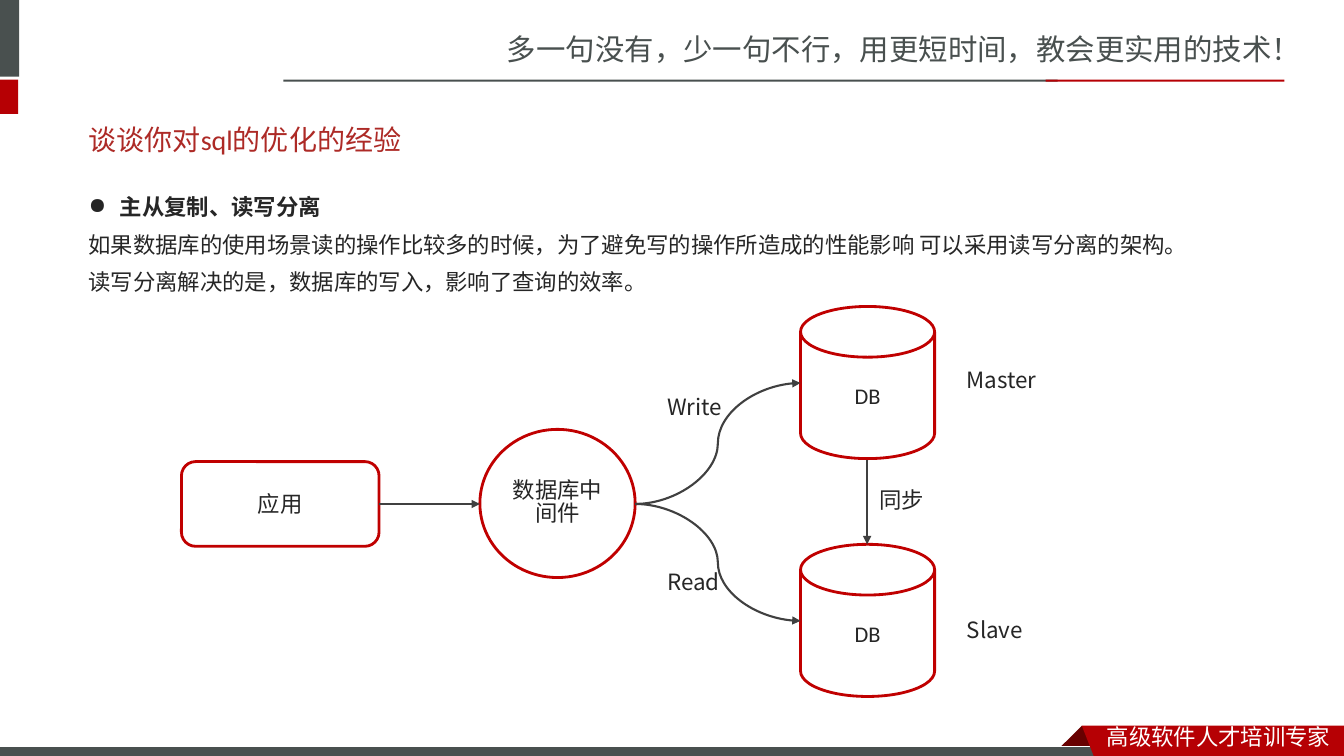
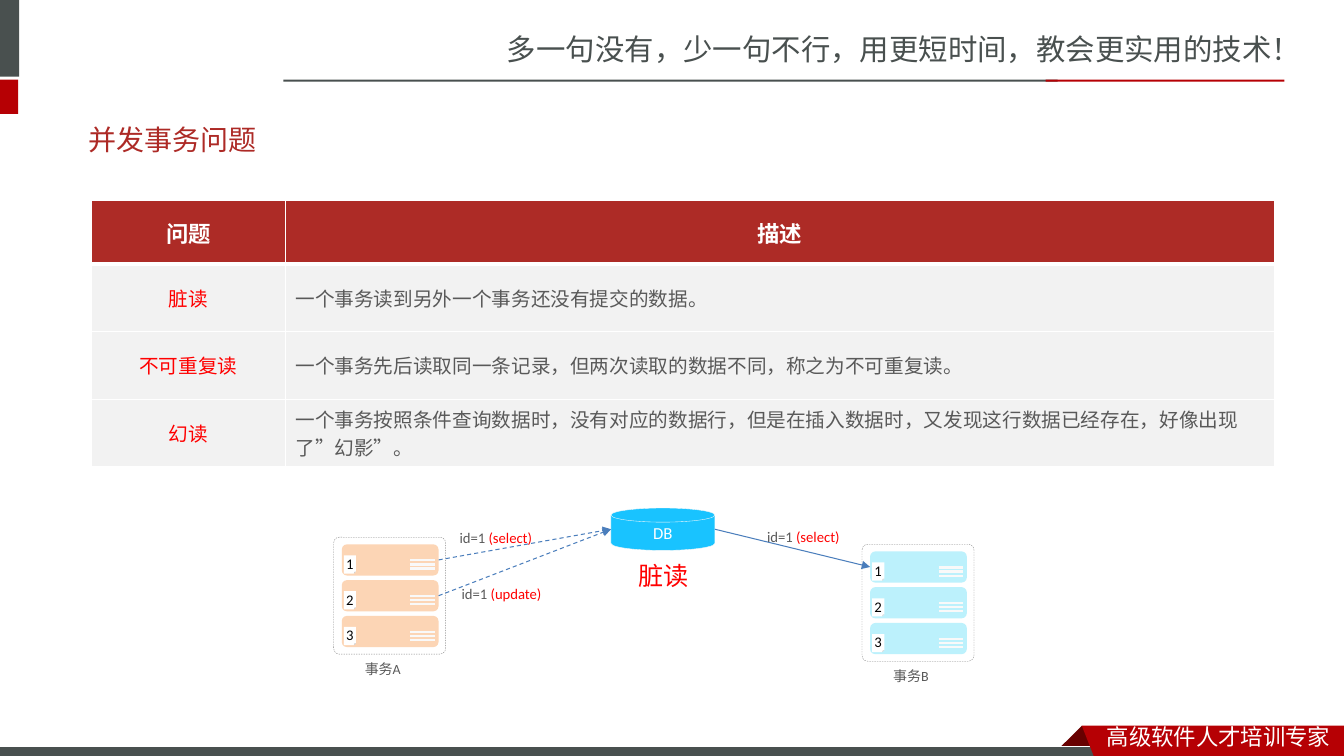
from lxml import etree
from pptx import Presentation
from pptx.dml.color import RGBColor
from pptx.enum.dml import MSO_LINE
from pptx.enum.shapes import MSO_CONNECTOR as LINK, MSO_SHAPE as SHAPE
from pptx.enum.text import MSO_ANCHOR as ANCHOR, MSO_AUTO_SIZE as AUTOSIZE, PP_ALIGN as ALIGN
from pptx.oxml.ns import qn
from pptx.util import Inches, Pt

SANS, SANS_JP, CALIBRI, ROBOTO = "Noto Sans CJK SC", "Noto Sans CJK JP", "Calibri", "Roboto"
SLATE, BRAND, FOLD, TITLE = "49504F", "B60004", "680000", "AD2A26"
INK, GREY, RED, WHITE = "262626", "595959", "FF0000", "FFFFFF"
OUTLINE, ARROW, BLUE, PALE = "C00000", "404040", "4B7EBC", "F9F9F9"

SLOGAN = "多一句没有，少一句不行，用更短时间，教会更实用的技术！"
FOOTER = "高级软件人才培训专家"
BANDS = [
    (-0.06, 0, 0.25, 0.76, SLATE),
    (-0.06, 0.79, 0.24, 0.34, BRAND),
    (2.81, 0.79, 7.68, 0.02, SLATE),
    (10.37, 0.79, 2.37, 0.02, BRAND),
]
FOOTER_FOLD = [(10.73, 7.2), (10.95, 7.42), (10.94, 7.43), (10.52, 7.43), (10.51, 7.42)]
FOOTER_RIBBON = [(10.73, 7.2), (13.33, 7.2), (13.33, 7.54), (10.86, 7.53)]

SPLIT_TITLE = "谈谈你对sql的优化的经验"
SPLIT_HEADING = "主从复制、读写分离"
SPLIT_BODY = [
    "如果数据库的使用场景读的操作比较多的时候，为了避免写的操作所造成的性能影响 可以采用读写分离的架构。",
    "读写分离解决的是，数据库的写入，影响了查询的效率。",
]
NODES = [
    ("应用", SHAPE.ROUNDED_RECTANGLE, (1.8, 4.58, 1.96, 0.84)),
    ("数据库中间件", SHAPE.FLOWCHART_CONNECTOR, (4.76, 4.26, 1.54, 1.47)),
    ("DB", SHAPE.FLOWCHART_MAGNETIC_DISK, (7.94, 5.4, 1.33, 1.51)),
    ("DB", SHAPE.FLOWCHART_MAGNETIC_DISK, (7.94, 3.04, 1.33, 1.51)),
]
NODE_LABELS = [
    ("Master", 9.49, 3.49),
    ("Slave", 9.49, 5.97),
    ("Write", 6.52, 3.76),
    ("Read", 6.52, 5.5),
    ("同步", 8.62, 4.68),
]
NODE_LINKS = [
    (LINK.CURVE, (6.3, 5), (7.94, 3.8)),
    (LINK.CURVE, (6.3, 5), (7.94, 6.16)),
    (LINK.STRAIGHT, (8.6, 4.56), (8.6, 5.4)),
]

ISSUE_TITLE = "并发事务问题"
ISSUES = [
    ("问题", "描述"),
    ("脏读", "一个事务读到另外一个事务还没有提交的数据。"),
    ("不可重复读", "一个事务先后读取同一条记录，但两次读取的数据不同，称之为不可重复读。"),
    ("幻读", "一个事务按照条件查询数据时，没有对应的数据行，但是在插入数据时，又发现这行数据已经存在，好像出现了”幻影”。"),
]
COLUMN_WIDTHS = [1.92, 9.81]
ROW_HEIGHTS = [0.63, 0.67, 0.67, 0.67]
TRANSACTIONS = [("事务A", 3.39, 5.4, "FCD5B5"), ("事务B", 8.63, 5.47, "BCF1FC")]
QUERIES = [
    ("(select)", (4.46, 5.2, 0.93, 0.28)),
    ("(update)", (4.48, 5.75, 1.01, 0.28)),
    ("(select)", (7.51, 5.19, 0.93, 0.28)),
]


def rgb(value):
    return RGBColor.from_string(value)


def place(at):
    return [Inches(value) for value in at]


def add_span(para, text, size, font, color, bold=False):
    span = para.add_run()
    span.text = text
    span.font.size, span.font.name, span.font.bold = Pt(size), font, bold
    span.font.color.rgb = rgb(color)
    east_asian = SANS_JP if font == SANS_JP else SANS
    etree.SubElement(span.font._element, qn("a:ea")).set("typeface", east_asian)


def add_text(page, at, spans, align=ALIGN.LEFT, anchor=ANCHOR.TOP, wrap=True, spacing=None):
    frame = page.shapes.add_textbox(*place(at)).text_frame
    frame.word_wrap = wrap
    frame.auto_size = AUTOSIZE.NONE if wrap else AUTOSIZE.SHAPE_TO_FIT_TEXT
    frame.vertical_anchor = anchor
    para = frame.paragraphs[0]
    para.alignment = align
    if spacing:
        para.line_spacing = spacing
    for span in spans:
        add_span(para, *span)
    return frame


def paint(shape, fill=None, line=None, width=0.75, dash=None):
    shape.shadow.inherit = False
    if fill:
        shape.fill.solid()
        shape.fill.fore_color.rgb = rgb(fill)
    else:
        shape.fill.background()
    if line:
        shape.line.color.rgb = rgb(line)
        shape.line.width = Pt(width)
        if dash:
            shape.line.dash_style = dash
    else:
        shape.line.fill.background()
    return shape


def add_box(page, kind, at, **style):
    return paint(page.shapes.add_shape(kind, *place(at)), **style)


def write_inside(box, text, size, color, inset=0.0, spacing=None):
    frame = box.text_frame
    frame.margin_left = frame.margin_right = Inches(inset)
    frame.margin_top = frame.margin_bottom = 0
    frame.word_wrap = inset > 0
    frame.vertical_anchor = ANCHOR.MIDDLE
    para = frame.paragraphs[0]
    para.alignment = ALIGN.CENTER
    if spacing:
        para.line_spacing = spacing
    add_span(para, text, size, CALIBRI, color)


def add_link(page, start, end, color, width, kind=LINK.STRAIGHT, dash=None, arrow=True):
    link = page.shapes.add_connector(kind, *place(start + end))
    link.line.color.rgb = rgb(color)
    link.line.width = Pt(width)
    if dash:
        link.line.dash_style = dash
    properties = link._element.spPr
    if arrow:
        tail = etree.SubElement(properties.find(qn("a:ln")), qn("a:tailEnd"))
        tail.set("type", "triangle")
    etree.SubElement(properties, qn("a:effectLst"))
    return link


def add_outline(page, points, color):
    corners = [tuple(place(point)) for point in points]
    builder = page.shapes.build_freeform(*corners[0], scale=1.0)
    builder.add_line_segments(corners[1:], close=True)
    paint(builder.convert_to_shape(), fill=color)


def add_page(deck, title):
    page = deck.slides.add_slide(deck.slide_layouts[6])
    add_text(page, (4.93, 0.26, 8.41, 0.47), [(SLOGAN, 21, SANS, SLATE)])
    for *at, color in BANDS:
        add_box(page, SHAPE.RECTANGLE, at, fill=color)
    add_outline(page, FOOTER_FOLD, FOLD)
    add_box(page, SHAPE.RECTANGLE, (-0.01, 7.41, 11, 0.12), fill=SLATE, line=WHITE)
    add_outline(page, FOOTER_RIBBON, BRAND)
    add_text(page, (10.88, 7.13, 2.45, 0.37), [(FOOTER, 16, SANS, WHITE)])
    add_text(page, (0.78, 1.1, 11.7, 0.57), [(title, 20, CALIBRI, TITLE)], anchor=ANCHOR.MIDDLE)
    return page


def build_split_page(deck):
    page = add_page(deck, SPLIT_TITLE)
    heading = [(SPLIT_HEADING, 16, SANS_JP, INK, True)]
    body = add_text(page, (0.78, 1.78, 11.7, 1.51), heading, spacing=1.34)
    bullet = body.paragraphs[0]._p.get_or_add_pPr()
    bullet.set("marL", str(Inches(0.31)))
    bullet.set("indent", str(-Inches(0.31)))
    etree.SubElement(bullet, qn("a:buChar")).set("char", "●")
    for text in SPLIT_BODY:
        para = body.add_paragraph()
        para.line_spacing = 1.34
        para.space_before = Pt(1)
        add_span(para, text, 16, SANS_JP, INK)

    boxes = []
    for text, kind, at in NODES:
        box = add_box(page, kind, at, line=OUTLINE, width=2)
        write_inside(box, text, 16, INK, inset=0.05, spacing=0.85 if len(text) > 4 else None)
        boxes.append(box)
    for text, left, top in NODE_LABELS:
        add_text(page, (left, top, 1.54, 0.87), [(text, 16, SANS_JP, INK)], spacing=1.34)
    for kind, start, end in NODE_LINKS:
        add_link(page, start, end, ARROW, 1.5, kind)
    request = add_link(page, (3.76, 5), (4.76, 5), ARROW, 1.5)
    request.begin_connect(boxes[0], 3)


def set_borders(cell, bottom):
    properties = cell._tc.get_or_add_tcPr()
    for side, width in (("L", 1), ("R", 1), ("T", 1), ("B", bottom)):
        line = etree.SubElement(properties, qn("a:ln" + side), w=str(Pt(width)))
        fill = etree.SubElement(line, qn("a:solidFill"))
        etree.SubElement(fill, qn("a:srgbClr"), val=WHITE)


def add_issue_table(page):
    at = (0.91, 1.99, sum(COLUMN_WIDTHS), sum(ROW_HEIGHTS))
    table = page.shapes.add_table(len(ISSUES), len(COLUMN_WIDTHS), *place(at)).table
    table.horz_banding = False
    for column, width in zip(table.columns, COLUMN_WIDTHS):
        column.width = Inches(width)
    for r, texts in enumerate(ISSUES):
        table.rows[r].height = Inches(ROW_HEIGHTS[r])
        for c, text in enumerate(texts):
            cell = table.cell(r, c)
            header = r == 0
            set_borders(cell, 3 if header else 1)
            cell.fill.solid()
            cell.fill.fore_color.rgb = rgb("AD2B26" if header else "F2F2F2")
            cell.vertical_anchor = ANCHOR.MIDDLE
            para = cell.text_frame.paragraphs[0]
            para.alignment = ALIGN.CENTER if header or c == 0 else ALIGN.LEFT
            if header:
                add_span(para, text, 16, SANS_JP, WHITE, True)
            else:
                add_span(para, text, 14, ROBOTO, GREY if c else RED)


def add_transaction(page, name, left, top, color):
    rows = []
    for index in range(3):
        y = top + 0.355 * index
        rows.append(add_box(page, SHAPE.ROUNDED_RECTANGLE, (left, y, 0.96, 0.31), fill=color))
        for offset in (0.16, 0.2, 0.24):
            start, end = (left + 0.68, y + offset), (left + 0.92, y + offset)
            add_link(page, start, end, PALE, 1.5, arrow=False)
        badge = add_box(page, SHAPE.FOLDED_CORNER, (left + 0.02, y + 0.11, 0.12, 0.18), fill=WHITE)
        write_inside(badge, str(index + 1), 10.5, "000000")
    border = add_box(page, SHAPE.ROUNDED_RECTANGLE, (left - 0.08, top - 0.07, 1.11, 1.16),
                     line="808080", width=0.25, dash=MSO_LINE.DASH)
    border.adjustments[0] = 0.05
    add_text(page, (left + 0.13, top + 1.1, 0.67, 0.28), [(name, 10, CALIBRI, GREY)])
    return rows


def build_issue_page(deck):
    page = add_page(deck, ISSUE_TITLE)
    add_issue_table(page)
    reader, writer = [add_transaction(page, *item) for item in TRANSACTIONS]
    database = add_box(page, SHAPE.FLOWCHART_MAGNETIC_DISK, (6.06, 5.04, 1.03, 0.42),
                       fill="19C3FF", line=PALE, width=0.25)
    write_inside(database, "DB", 12, WHITE)
    for row in reader[:2]:
        link = add_link(page, (4.35, 5.56), (6.06, 5.25), BLUE, 0.75, dash=MSO_LINE.DASH)
        link.begin_connect(row, 3)
    link = add_link(page, (7.09, 5.25), (8.63, 5.63), BLUE, 0.75)
    link.end_connect(writer[0], 1)
    add_text(page, (6.23, 5.51, 0.7, 0.4), [("脏读", 18, ROBOTO, RED)], ALIGN.CENTER, wrap=False)
    for action, at in QUERIES:
        spans = [("id=1 ", 10.5, CALIBRI, GREY), (action, 10.5, CALIBRI, RED)]
        add_text(page, at, spans, wrap=False)


def main():
    deck = Presentation()
    deck.slide_width, deck.slide_height = Inches(13.33), Inches(7.5)
    build_split_page(deck)
    build_issue_page(deck)
    deck.save("out.pptx")


if __name__ == "__main__":
    main()
